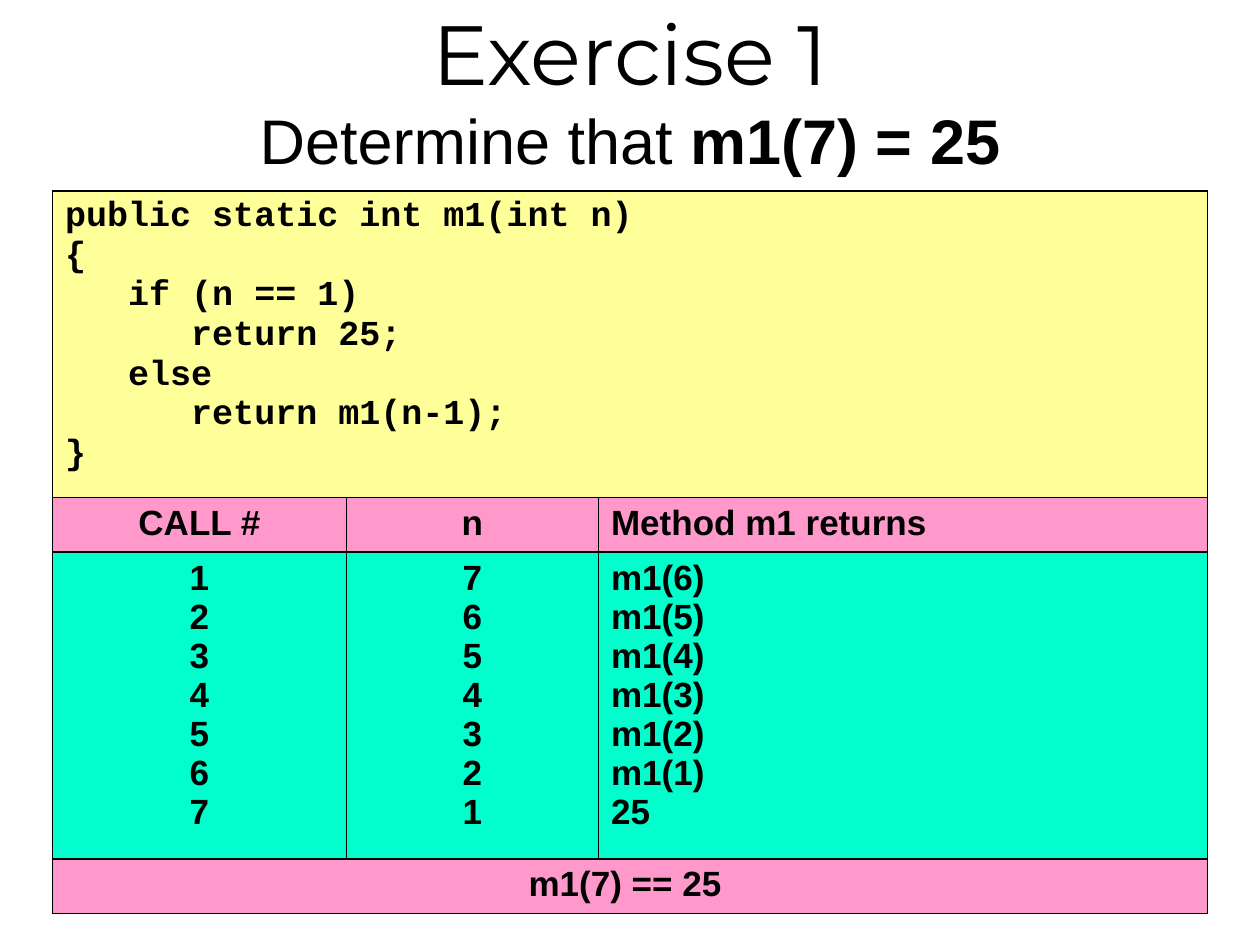
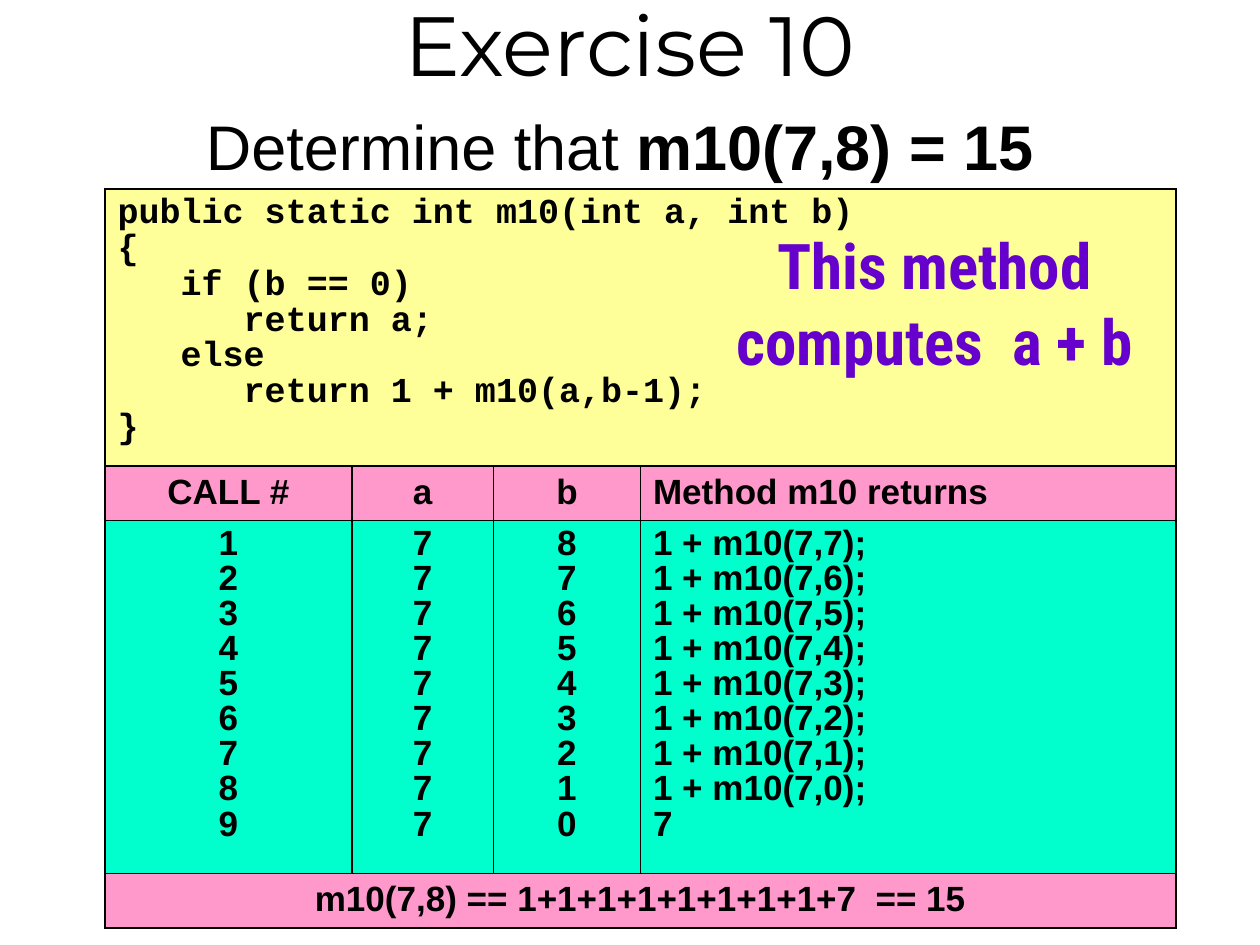
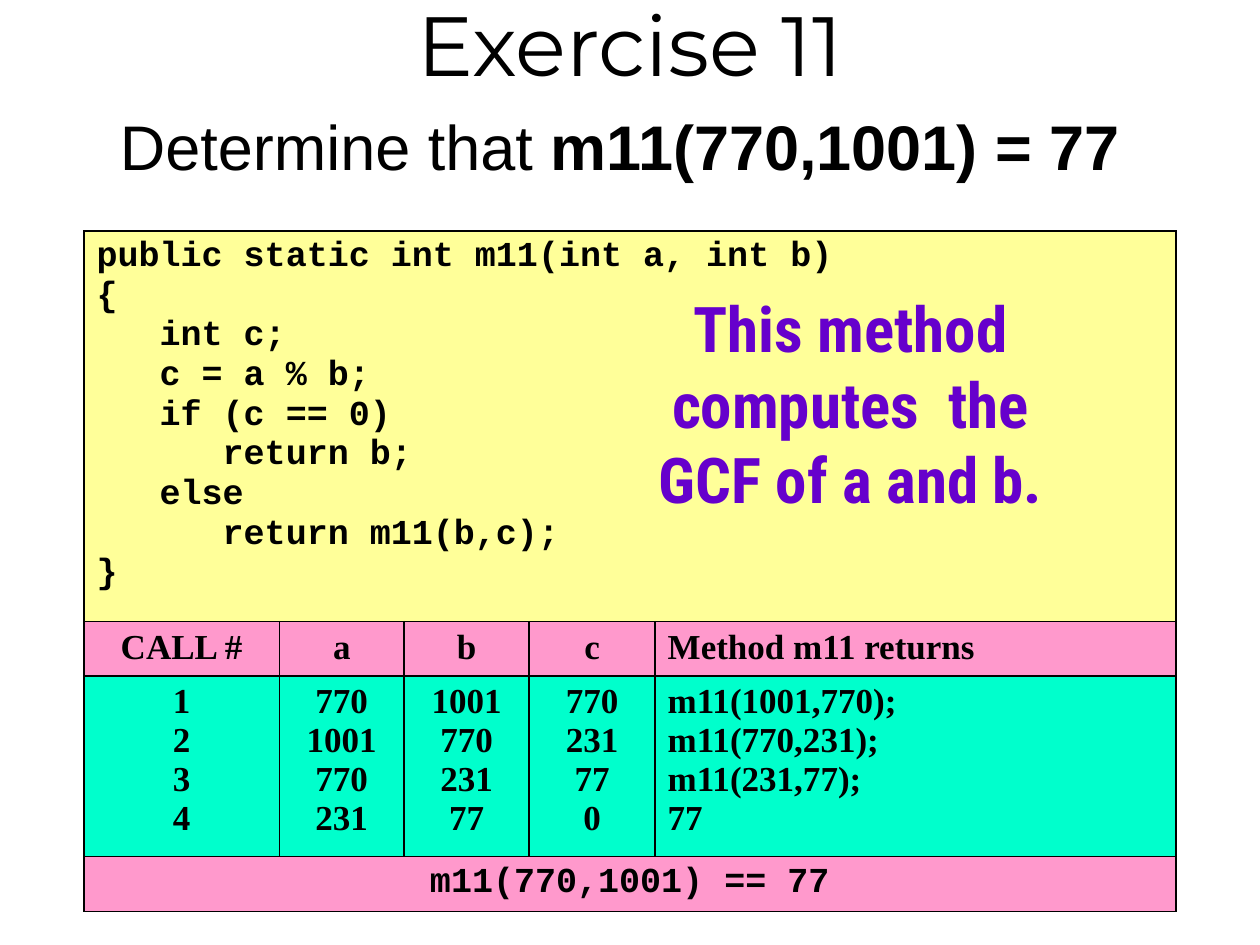
"""Build three recursion exercises, each with its code, call trace and result."""
from dataclasses import dataclass

from lxml import etree
from pptx import Presentation
from pptx.dml.color import RGBColor
from pptx.enum.text import MSO_ANCHOR, MSO_AUTO_SIZE, PP_ALIGN
from pptx.oxml.ns import qn
from pptx.util import Inches, Pt

LEFT, CENTER = PP_ALIGN.LEFT, PP_ALIGN.CENTER
MIDDLE = MSO_ANCHOR.MIDDLE
NO_AUTOFIT = MSO_AUTO_SIZE.NONE


@dataclass(frozen=True)
class Theme:
    ink: str = "000000"
    code_fill: str = "FFFF99"
    band_fill: str = "FF99CC"
    trace_fill: str = "00FFCC"
    note_top: str = "6600CC"
    note_bottom: str = "CC00CC"
    note_edge: str = "CC99FF"
    heading_font: str = "Montserrat"
    text_font: str = "Arial"
    serif_font: str = "Times New Roman"
    code_font: str = "Courier New"
    note_font: str = "Roboto Condensed"
    heading_size: int = 48
    goal_size: int = 36
    goal_end_size: int = 44
    table_size: int = 20
    note_size: int = 36
    border: float = 1
    note_border: float = 0.75


THEME = Theme()
SLIDE_WIDTH, SLIDE_HEIGHT = 10, 7.5
TITLE_HEIGHT = 17
BAND_HEIGHT = 5.2

EXERCISES = [
    {
        "heading": "Exercise 1",
        "goal": ("Determine that ", "m1(7) = 25", ""),
        "code": """public static int m1(int n)
{
   if (n == 1)
      return 25;
   else
      return m1(n-1);
}""",
        "header": ("CALL #", "n", "Method m1 returns"),
        "calls": [
            ("1", "7", "m1(6)"),
            ("2", "6", "m1(5)"),
            ("3", "5", "m1(4)"),
            ("4", "4", "m1(3)"),
            ("5", "3", "m1(2)"),
            ("6", "2", "m1(1)"),
            ("7", "1", "25"),
        ],
        "result": "m1(7) == 25 ",
        "origin": (5, 18.2),
        "columns": (28, 24, 58),
        "code_height": 29.2,
        "trace_height": 29.2,
    },
    {
        "heading": "Exercise 10",
        "goal": ("Determine that", " m10(7,8) = 15", " "),
        "code": """public static int m10(int a, int b)
{
   if (b == 0)
      return a;
   else
      return 1 + m10(a,b-1);
}""",
        "header": ("CALL #", "a", "b", "Method m10 returns"),
        "calls": [
            ("1", "7", "8", "1 + m10(7,7);"),
            ("2", "7", "7", "1 + m10(7,6);"),
            ("3", "7", "6", "1 + m10(7,5);"),
            ("4", "7", "5", "1 + m10(7,4);"),
            ("5", "7", "4", "1 + m10(7,3);"),
            ("6", "7", "3", "1 + m10(7,2);"),
            ("7", "7", "2", "1 + m10(7,1);"),
            ("8", "7", "1", "1 + m10(7,0);"),
            ("9", "7", "0", "7"),
        ],
        "result": "m10(7,8) == 1+1+1+1+1+1+1+1+7  == 15",
        "origin": (10, 18),
        "columns": (23.5, 13.5, 14, 51),
        "code_height": 26.4,
        "trace_height": 33.6,
        "line_spacing": 0.9,
        "note": ("This method", "computes  a + b"),
        "note_place": (68, 21, 42, 21),
    },
    {
        "heading": "Exercise 11",
        "goal": ("Determine that", " m11(770,1001) = 77", " "),
        "code": """public static int m11(int a, int b)
{
   int c;
   c = a % b;
   if (c == 0)
      return b;
   else
      return m11(b,c);
}""",
        "header": ("CALL #", "a", "b", "c", "Method m11 returns"),
        "calls": [
            ("1", "770", "1001", "770", "m11(1001,770);"),
            ("2", "1001", "770", "231", "m11(770,231);"),
            ("3", "770", "231", "77", "m11(231,77);"),
            ("4", "231", "77", "0", "77"),
        ],
        "result": "m11(770,1001) == 77",
        "origin": (8, 22),
        "columns": (18.6, 11.9, 11.9, 12, 49.6),
        "code_height": 37.2,
        "trace_height": 17.2,
        "trace_font": THEME.serif_font,
        "result_font": THEME.code_font,
        "note": ("This method", "computes  the", "GCF of a and b."),
        "note_place": (56, 27, 50, 29.3),
    },
]


def grid(units):
    """Turn grid units, twelve to the inch, into a length."""
    return Inches(units / 12)


def write(paragraph, text, *, font, size, bold=False, color=THEME.ink,
          align=CENTER, spacing=None):
    """Add a formatted run of text to a paragraph."""
    paragraph.alignment = align
    if spacing:
        paragraph.line_spacing = spacing
    run = paragraph.add_run()
    run.text = text
    run.font.name, run.font.size, run.font.bold = font, Pt(size), bold
    run.font.color.rgb = RGBColor.from_string(color)
    return run


def write_lines(frame, lines, **text_format):
    """Write one paragraph a line and return the runs."""
    runs = []
    for index, line in enumerate(lines):
        paragraph = frame.add_paragraph() if index else frame.paragraphs[0]
        runs.append(write(paragraph, line, **text_format))
    return runs


def add_outline(parent, tag, color, width):
    """Append a solid line element to a properties element."""
    line = etree.SubElement(parent, qn(tag), w=str(Pt(width)))
    fill = etree.SubElement(line, qn("a:solidFill"))
    etree.SubElement(fill, qn("a:srgbClr"), val=color)
    return line


def fill_cell(cell, lines, fill, **text_format):
    """Put bold lines of text on a cell's fill."""
    write_lines(cell.text_frame, lines, size=THEME.table_size, bold=True, **text_format)
    cell.fill.solid()
    cell.fill.fore_color.rgb = RGBColor.from_string(fill)


def add_title(slide, exercise):
    """Fill the title with the heading and the goal below it."""
    title = slide.shapes.title
    title.left, title.top = 0, 0
    title.width, title.height = Inches(SLIDE_WIDTH), grid(TITLE_HEIGHT)
    frame = title.text_frame
    frame.auto_size, frame.vertical_anchor = NO_AUTOFIT, MIDDLE
    paragraph = frame.paragraphs[0]
    lead, claim, ending = exercise["goal"]
    write(paragraph, exercise["heading"], font=THEME.heading_font, size=THEME.heading_size)
    paragraph.add_line_break()
    write(paragraph, lead, font=THEME.text_font, size=THEME.goal_size)
    write(paragraph, claim, font=THEME.text_font, size=THEME.goal_size, bold=True)
    if ending:
        write(paragraph, ending, font=THEME.heading_font, size=THEME.goal_end_size)


def add_trace(slide, exercise):
    """Add the table of code, calls and result."""
    columns = exercise["columns"]
    heights = (exercise["code_height"], BAND_HEIGHT, exercise["trace_height"], BAND_HEIGHT)
    left, top = exercise["origin"]
    table = slide.shapes.add_table(
        len(heights), len(columns), grid(left), grid(top),
        grid(sum(columns)), grid(sum(heights))).table
    table.first_row = table.horz_banding = False
    for column, width in zip(table.columns, columns):
        column.width = grid(width)
    for row, height in zip(table.rows, heights):
        row.height = grid(height)
    for cell in table.iter_cells():
        properties = cell._tc.get_or_add_tcPr()
        for side in "LRTB":
            add_outline(properties, f"a:ln{side}", THEME.ink, THEME.border)

    last = len(columns) - 1
    for row in (0, 3):
        table.cell(row, 0).merge(table.cell(row, last))
    spacing = exercise.get("line_spacing")
    trace_font = exercise.get("trace_font", THEME.text_font)
    fill_cell(table.cell(0, 0), exercise["code"].splitlines(), THEME.code_fill,
              font=THEME.code_font, align=LEFT, spacing=spacing)
    for index, (label, values) in enumerate(zip(exercise["header"], zip(*exercise["calls"]))):
        align = LEFT if index == last else CENTER
        fill_cell(table.cell(1, index), [label], THEME.band_fill, font=trace_font, align=align)
        fill_cell(table.cell(2, index), values, THEME.trace_fill,
                  font=trace_font, align=align, spacing=spacing)
    fill_cell(table.cell(3, 0), [exercise["result"]], THEME.band_fill,
              font=exercise.get("result_font", THEME.text_font))


def add_note(slide, lines, place):
    """Add the outlined gradient note beside the code."""
    frame = slide.shapes.add_textbox(*map(grid, place)).text_frame
    frame.word_wrap = False
    for run in write_lines(frame, lines, font=THEME.note_font, size=THEME.note_size, bold=True):
        fill = run.font.fill
        fill.gradient()
        fill.gradient_angle = 270
        for stop, color in zip(fill.gradient_stops, (THEME.note_top, THEME.note_bottom)):
            stop.color.rgb = RGBColor.from_string(color)
        properties = run._r.get_or_add_rPr()
        properties.insert(0, add_outline(properties, "a:ln", THEME.note_edge, THEME.note_border))


def main():
    """Build and save the presentation."""
    presentation = Presentation()
    presentation.slide_width = Inches(SLIDE_WIDTH)
    presentation.slide_height = Inches(SLIDE_HEIGHT)
    title_only = presentation.slide_layouts.get_by_name("Title Only")
    for exercise in EXERCISES:
        slide = presentation.slides.add_slide(title_only)
        add_title(slide, exercise)
        add_trace(slide, exercise)
        if "note" in exercise:
            add_note(slide, exercise["note"], exercise["note_place"])
    presentation.save("out.pptx")


if __name__ == "__main__":
    main()
